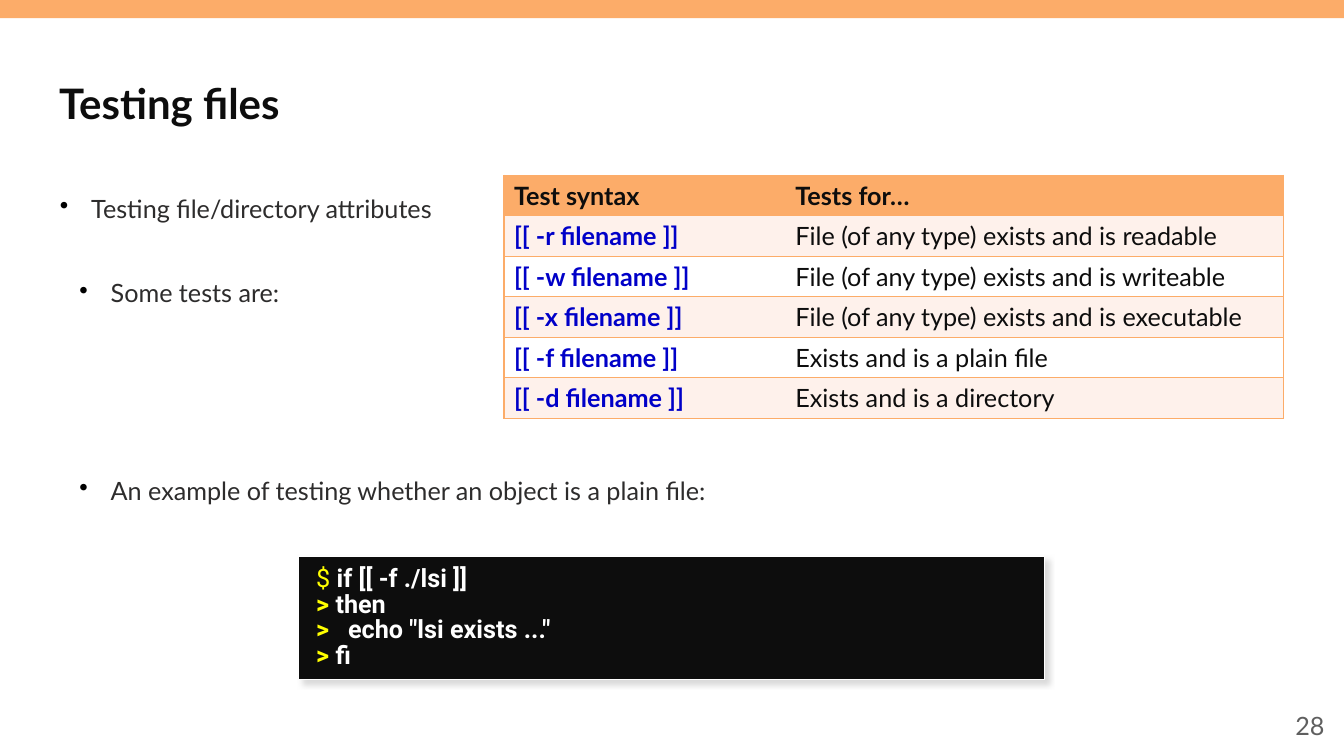
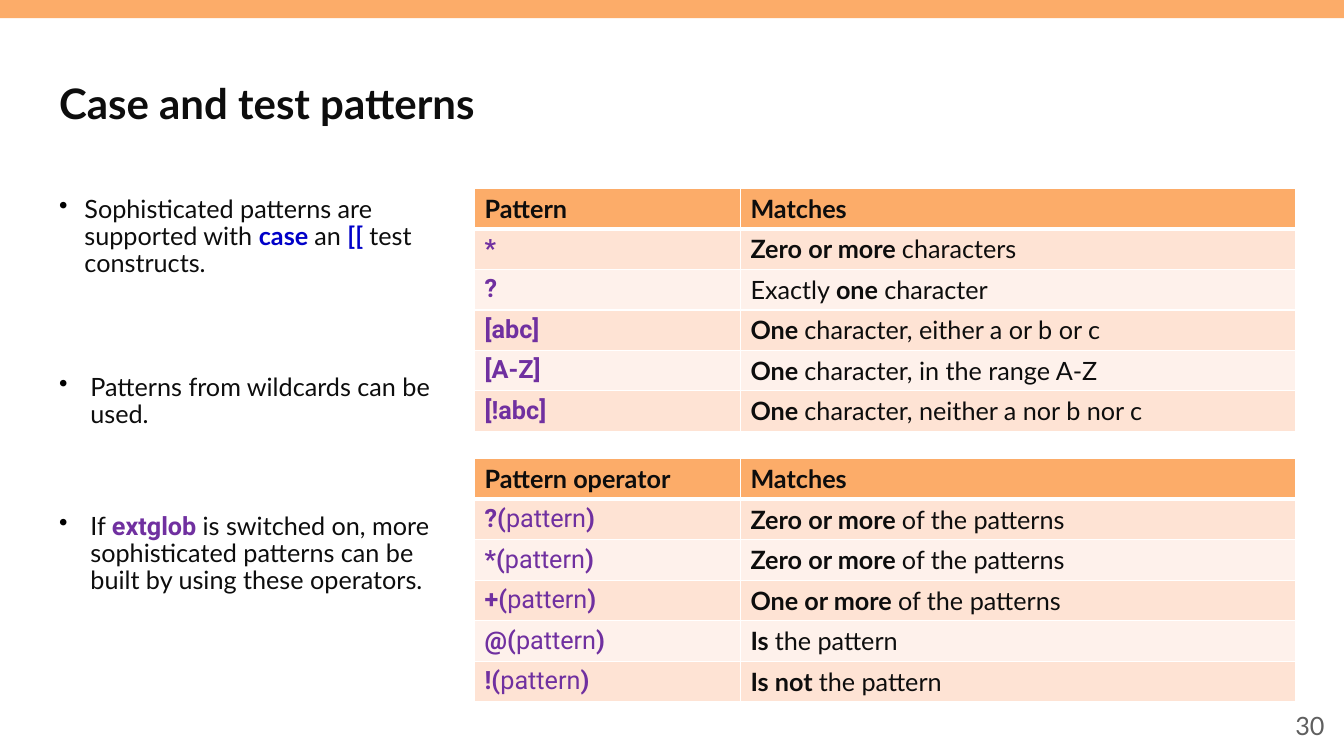
from collections import namedtuple

from lxml.etree import SubElement
from pptx import Presentation
from pptx.dml.color import RGBColor
from pptx.enum.shapes import MSO_SHAPE
from pptx.enum.text import MSO_ANCHOR, PP_ALIGN
from pptx.oxml.ns import qn
from pptx.util import Cm, Pt

ORANGE = RGBColor(0xFC, 0xAC, 0x69)
PEACH = RGBColor(0xFE, 0xE3, 0xD4)
CREAM = RGBColor(0xFE, 0xF1, 0xEB)
WHITE = RGBColor(0xFF, 0xFF, 0xFF)
BLACK = RGBColor(0, 0, 0)
INK = RGBColor(0x0D, 0x0D, 0x0D)
CHARCOAL = RGBColor(0x2D, 0x2C, 0x2C)
GRAY = RGBColor(0x5F, 0x5F, 0x5F)
BLUE = RGBColor(0, 0, 0xC8)
PURPLE = RGBColor(0x70, 0x30, 0xA0)
YELLOW = RGBColor(0xFF, 0xFF, 0)
SHADOW = RGBColor(0xDA, 0xDA, 0xDA)

Box = namedtuple("Box", "left top width height")
Style = namedtuple("Style", "color bold name size", defaults=(False, "Lato", 18))
Bullet = namedtuple("Bullet", "runs left hanging space_before")
Look = namedtuple("Look", "border bands header_line inner_verticals")

PLAIN = Style(INK)
STRONG = Style(INK, True)
TITLE = Style(INK, True, size=30)
BODY = Style(CHARCOAL)
PAGE_NUMBER = Style(GRAY)
KEYWORD = Style(BLUE, True)
PATTERN = Style(PURPLE, True, "Roboto")
PATTERN_LIGHT = Style(PURPLE, False, "Roboto")
PROMPT = Style(YELLOW, True, "Roboto")
PROMPT_LIGHT = Style(YELLOW, False, "Roboto")
CODE = Style(WHITE, True, "Roboto")

SLIDE_WIDTH, SLIDE_HEIGHT = 33.87, 19.05
BAND_BOX = Box(0, 0, SLIDE_WIDTH, 0.46)
TITLE_BOX = Box(1.24, 1.4, 31.39, 2.39)
NUMBER_BOX = Box(26.01, 17.78, 7.62, 1.02)
ROW_HEIGHT = 1.02

TEST_LOOK = Look(ORANGE, (CREAM, WHITE), 1, False)
PATTERN_LOOK = Look(WHITE, (PEACH, CREAM), 3, True)


def lengths(box):
    return [Cm(value) for value in box]


def apply_style(font, style):
    font.name = style.name
    font.size = Pt(style.size)
    font.bold = style.bold
    font.color.rgb = style.color


def write_runs(paragraph, runs):
    styles = {style for _, style in runs}
    if len(styles) == 1:
        apply_style(paragraph.font, runs[0][1])
    for text, style in runs:
        run = paragraph.add_run()
        run.text = text
        if len(styles) > 1:
            apply_style(run.font, style)


def add_color(parent, color):
    return SubElement(parent, qn("a:srgbClr"), val=str(color))


def indent(paragraph, left, hanging=0):
    properties = paragraph._p.get_or_add_pPr()
    properties.set("marL", str(Cm(left)))
    properties.set("indent", str(-Cm(hanging)))
    return properties


def add_text(slide, box, runs=(), anchor=MSO_ANCHOR.TOP):
    frame = slide.shapes.add_textbox(*lengths(box)).text_frame
    frame.word_wrap = True
    frame.vertical_anchor = anchor
    if runs:
        write_runs(frame.paragraphs[0], runs)
    return frame


def add_rectangle(slide, box, fill):
    shape = slide.shapes.add_shape(MSO_SHAPE.RECTANGLE, *lengths(box))
    shape.shadow.inherit = False
    shape.fill.solid()
    shape.fill.fore_color.rgb = fill
    shape.line.fill.background()
    return shape


def add_slide(presentation, title, number):
    slide = presentation.slides.add_slide(presentation.slide_layouts[6])
    add_rectangle(slide, BAND_BOX, ORANGE)
    add_text(slide, TITLE_BOX, [(title, TITLE)], MSO_ANCHOR.MIDDLE)
    frame = add_text(slide, NUMBER_BOX, [(number, PAGE_NUMBER)], MSO_ANCHOR.MIDDLE)
    frame.paragraphs[0].alignment = PP_ALIGN.RIGHT
    return slide


def add_bullets(slide, box, bullets):
    frame = add_text(slide, box)
    for index, bullet in enumerate(bullets):
        paragraph = frame.add_paragraph() if index else frame.paragraphs[0]
        paragraph.line_spacing = 0.9
        if index:
            paragraph.space_before = Pt(bullet.space_before)
        properties = indent(paragraph, bullet.left, bullet.hanging)
        add_color(SubElement(properties, qn("a:buClr")), BLACK)
        SubElement(properties, qn("a:buChar"), char="•")
        write_runs(paragraph, bullet.runs)


def add_code(slide, box, lines):
    shape = add_rectangle(slide, box, INK)
    shape.line.color.rgb = WHITE
    shape.line.width = Pt(1)
    effects = shape._element.spPr.find(qn("a:effectLst"))
    shadow = SubElement(effects, qn("a:outerShdw"), blurRad=str(Pt(4)),
                        dist=str(Pt(4)), dir="2700000", algn="tl", rotWithShape="0")
    add_color(shadow, SHADOW)
    frame = shape.text_frame
    frame.word_wrap = True
    frame.vertical_anchor = MSO_ANCHOR.TOP
    frame.margin_left = frame.margin_right = frame.margin_top = Cm(0.25)
    frame.margin_bottom = Cm(0.15)
    for index, runs in enumerate(lines):
        paragraph = frame.add_paragraph() if index else frame.paragraphs[0]
        paragraph.alignment = PP_ALIGN.LEFT
        paragraph.line_spacing = Pt(18.5)
        indent(paragraph, 0.2)
        write_runs(paragraph, runs)


def add_border(cell, side, color, width):
    line = SubElement(cell._tc.get_or_add_tcPr(), qn("a:ln" + side), w=str(Pt(width)))
    if width:
        add_color(SubElement(line, qn("a:solidFill")), color)
    else:
        SubElement(line, qn("a:noFill"))


def add_grid(slide, left, top, widths, rows, look):
    box = Box(left, top, sum(widths), ROW_HEIGHT * len(rows))
    table = slide.shapes.add_table(len(rows), len(widths), *lengths(box)).table
    table.first_row = table.horz_banding = False
    for column, width in zip(table.columns, widths):
        column.width = Cm(width)
    for row_index, row in enumerate(rows):
        table.rows[row_index].height = Cm(ROW_HEIGHT)
        fill = look.bands[(row_index - 1) % 2] if row_index else ORANGE
        for column_index, runs in enumerate(row):
            cell = table.cell(row_index, column_index)
            inner = int(look.inner_verticals)
            borders = {
                "L": inner if column_index else 1,
                "R": 1 if column_index == len(widths) - 1 else inner,
                "T": look.header_line if row_index == 1 else 1,
                "B": 1 if row_index else look.header_line,
            }
            for side, width in borders.items():
                add_border(cell, side, look.border, width)
            cell.fill.solid()
            cell.fill.fore_color.rgb = fill
            write_runs(cell.text_frame.paragraphs[0], runs)


def header(*labels):
    return [[(label, STRONG)] for label in labels]


def build_testing_files(presentation):
    slide = add_slide(presentation, "Testing files", "28")
    add_bullets(slide, Box(1.24, 4.83, 31.39, 12.09), [
        Bullet([("Testing file/directory attributes", BODY)], 0.81, 0.79, 0),
        Bullet([("Some tests are:", BODY)], 1.3, 0.79, 41),
        Bullet([("An example of testing whether an object is a plain file:", BODY)],
               1.3, 0.79, 121.5),
    ])
    add_code(slide, Box(7.52, 14.02, 18.8, 3.1), [
        [("$ ", PROMPT_LIGHT), ("if [[ -f ./lsi ]]", CODE)],
        [(">", PROMPT), (" then", CODE)],
        [(">", PROMPT), ("   echo \"lsi exists ...\"", CODE)],
        [(">", PROMPT), (" fi", CODE)],
    ])
    tests = [
        ("r", "File (of any type) exists and is readable"),
        ("w", "File (of any type) exists and is writeable"),
        ("x", "File (of any type) exists and is executable"),
        ("f", "Exists and is a plain file"),
        ("d", "Exists and is a directory"),
    ]
    rows = [[[(f"[[ -{flag} filename ]]", KEYWORD)], [(meaning, PLAIN)]]
            for flag, meaning in tests]
    add_grid(slide, 12.7, 4.42, (7.09, 12.55),
             [header("Test syntax", "Tests for…")] + rows, TEST_LOOK)


def build_patterns(presentation):
    slide = add_slide(presentation, "Case and test patterns", "30")
    add_bullets(slide, Box(1.24, 4.83, 10.72, 12.09), [
        Bullet([("Sophisticated patterns are supported with ", PLAIN),
                ("case ", KEYWORD), ("an ", PLAIN), ("[[ ", KEYWORD),
                ("test constructs.", PLAIN)], 0.64, 0.64, 0),
        Bullet([("Patterns from wildcards can be used.", PLAIN)], 0.79, 0.79, 69),
        Bullet([("If ", PLAIN), ("extglob ", PATTERN),
                ("is switched on, more sophisticated patterns can be built "
                 "by using these operators.", PLAIN)], 0.79, 0.79, 60),
    ])
    wildcards = [
        ("*", [("Zero or more ", STRONG), ("characters", PLAIN)]),
        ("?", [("Exactly ", PLAIN), ("one ", STRONG), ("character", PLAIN)]),
        ("[abc]", [("One ", STRONG), ("character, either a or b or c", PLAIN)]),
        ("[A-Z]", [("One ", STRONG), ("character, in the range A-Z", PLAIN)]),
        ("[!abc]", [("One ", STRONG), ("character, neither a nor b nor c", PLAIN)]),
    ]
    operators = [
        ("?", "Zero or more ", "of the patterns"),
        ("*", "Zero or more ", "of the patterns"),
        ("+", "One or more ", "of the patterns"),
        ("@", "Is ", "the pattern"),
        ("!", "Is not ", "the pattern"),
    ]
    wildcard_rows = [[[(pattern, PATTERN)], meaning] for pattern, meaning in wildcards]
    operator_rows = [
        [[(symbol + "(", PATTERN), ("pattern", PATTERN_LIGHT), (")", PATTERN)],
         [(amount, STRONG), (target, PLAIN)]]
        for symbol, amount, target in operators
    ]
    for top, label, rows in ((4.75, "Pattern", wildcard_rows),
                             (11.56, "Pattern operator", operator_rows)):
        add_grid(slide, 11.96, top, (6.7, 13.98),
                 [header(label, "Matches")] + rows, PATTERN_LOOK)


def main():
    presentation = Presentation()
    presentation.slide_width = Cm(SLIDE_WIDTH)
    presentation.slide_height = Cm(SLIDE_HEIGHT)
    build_testing_files(presentation)
    build_patterns(presentation)
    presentation.save("out.pptx")


if __name__ == "__main__":
    main()
